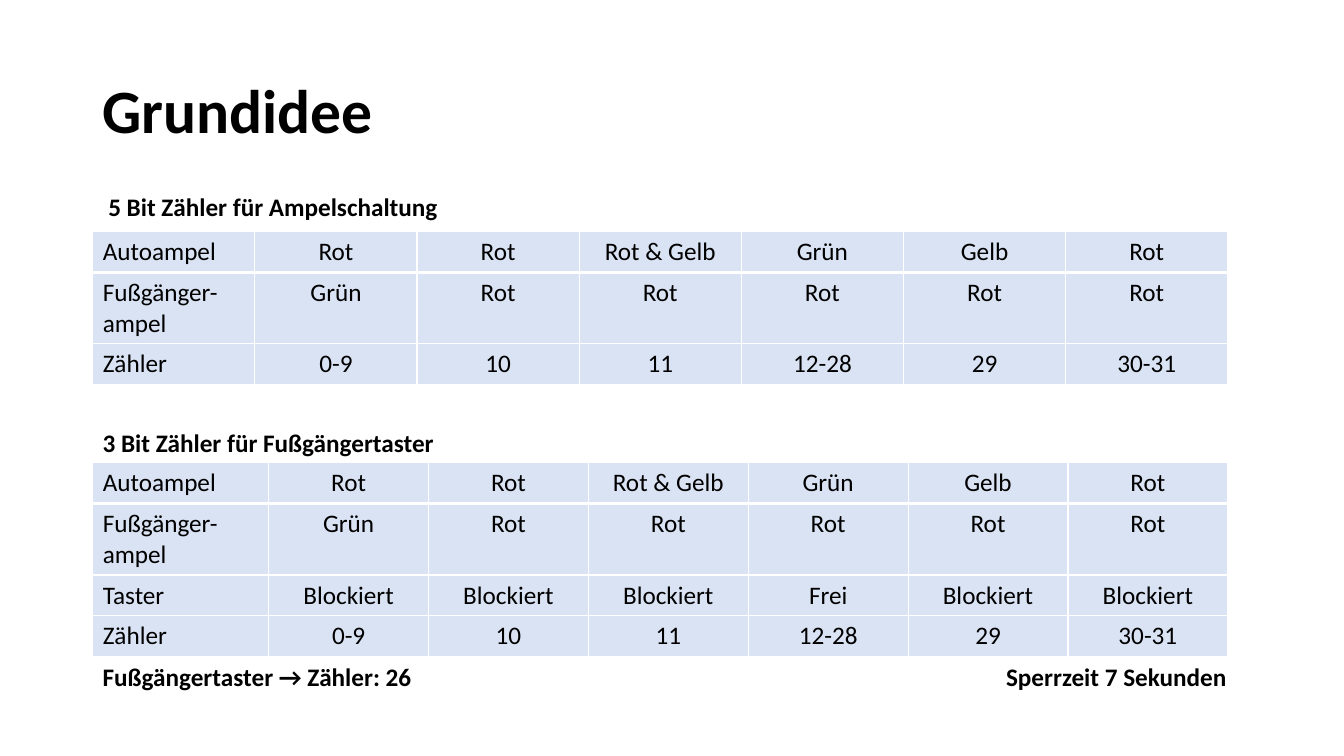
from lxml import etree
from pptx import Presentation
from pptx.dml.color import RGBColor
from pptx.enum import text
from pptx.oxml import ns
from pptx.util import Emu, Inches, Pt

BLACK = RGBColor(0x00, 0x00, 0x00)
WHITE = RGBColor(0xFF, 0xFF, 0xFF)
PALE_BLUE = RGBColor(0xDA, 0xE3, 0xF3)
FONT = "Calibri"
BODY_SIZE = 18
CELL_MARGIN, LINE_HEIGHT = 7.2, 22  # points

# The grid divides the slide into 100 columns and 100 rows
prs = Presentation()
prs.slide_width, prs.slide_height = Inches(13.33), Inches(7.5)
COLUMN, ROW = prs.slide_width / 100, prs.slide_height / 100
LEFT, TABLE_WIDTH, CAPTION_HEIGHT = 6.9, 84.47, 5.33

AUTOAMPEL = ["Autoampel", "Rot", "Rot", "Rot & Gelb", "Grün", "Gelb", "Rot"]
FUSSGAENGERAMPEL = ["Fußgänger-\nampel", "Grün"] + ["Rot"] * 5
TASTER = ["Taster"] + ["Blockiert"] * 3 + ["Frei"] + ["Blockiert"] * 2
ZAEHLER = ["Zähler", "0-9", "10", "11", "12-28", "29", "30-31"]


def on_grid(box):
    left, top, width, height = box
    return [Emu(round(v)) for v in
            (left * COLUMN, top * ROW, width * COLUMN, height * ROW)]


def style(paragraph, size=BODY_SIZE, bold=False):
    for run in paragraph.runs:
        run.font.name, run.font.size, run.font.bold = FONT, Pt(size), bold
        run.font.color.rgb = BLACK


def add_heading(slide, box, wording, size=BODY_SIZE, wrap=False,
                anchor=text.MSO_ANCHOR.TOP):
    frame = slide.shapes.add_textbox(*on_grid(box)).text_frame
    frame.text = wording
    frame.word_wrap, frame.vertical_anchor = wrap, anchor
    style(frame.paragraphs[0], size, bold=True)
    return frame.paragraphs[0]


def add_borders(cell, widths):
    properties = cell._tc.get_or_add_tcPr()
    for position, (side, width) in enumerate(widths.items()):
        line = etree.Element(ns.qn(f"a:ln{side}"), w=str(Pt(width)))
        fill = etree.SubElement(line, ns.qn("a:solidFill"))
        etree.SubElement(fill, ns.qn("a:srgbClr"), val=str(WHITE))
        properties.insert(position, line)


def add_phase_table(slide, box, phases, label_share):
    """Rows share the height by their text lines; phase columns are equal."""
    left, top, width, height = on_grid(box)
    table = slide.shapes.add_table(len(phases), len(phases[0]),
                                   left, top, width, height).table
    # Column widths and row heights
    label_width = round(width * label_share)
    for index, column in enumerate(table.columns):
        column.width = (label_width if index == 0 else
                        (width - label_width) // (len(table.columns) - 1))
    needs = [CELL_MARGIN + LINE_HEIGHT * (1 + phase[0].count("\n"))
             for phase in phases]
    for row, need in zip(table.rows, needs):
        row.height = round(height * need / sum(needs))
    # Cells, with a heavier rule below the first row
    for r, phase in enumerate(phases):
        for c, wording in enumerate(phase):
            cell = table.cell(r, c)
            cell.text_frame.text = wording
            cell.fill.solid()
            cell.fill.fore_color.rgb = PALE_BLUE
            add_borders(cell, {"L": 1, "R": 1, "T": 3 if r == 1 else 1,
                               "B": 3 if r == 0 else 1})
            for paragraph in cell.text_frame.paragraphs:
                style(paragraph)
                if c > 0:
                    paragraph.alignment = text.PP_ALIGN.CENTER


def build_grundidee(slide):
    # Title
    title = add_heading(slide, (LEFT, 5.33, 86.27, 19.33), "Grundidee", 44,
                        wrap=True, anchor=text.MSO_ANCHOR.MIDDLE)
    title.line_spacing = 0.9
    # Traffic light counter
    add_heading(slide, (LEFT, 24.67, 28.06, CAPTION_HEIGHT),
                " 5 Bit Zähler für Ampelschaltung")
    add_phase_table(slide, (LEFT, 30.67, TABLE_WIDTH, 20.2),
                    [AUTOAMPEL, FUSSGAENGERAMPEL, ZAEHLER], 1 / 7)
    # Pedestrian button counter
    add_heading(slide, (LEFT, 55.87, 26.41, CAPTION_HEIGHT),
                "3 Bit Zähler für Fußgängertaster")
    add_phase_table(slide, (LEFT, 61.2, TABLE_WIDTH, 25.65),
                    [AUTOAMPEL, FUSSGAENGERAMPEL, TASTER, ZAEHLER], 0.155)
    # Footnotes below the second table
    add_heading(slide, (LEFT, 86.8, 24.83, CAPTION_HEIGHT),
                "Fußgängertaster → Zähler: 26")
    add_heading(slide, (74.12, 86.8, 18, CAPTION_HEIGHT),
                "Sperrzeit 7 Sekunden")


build_grundidee(prs.slides.add_slide(prs.slide_layouts[6]))
prs.save("out.pptx")
